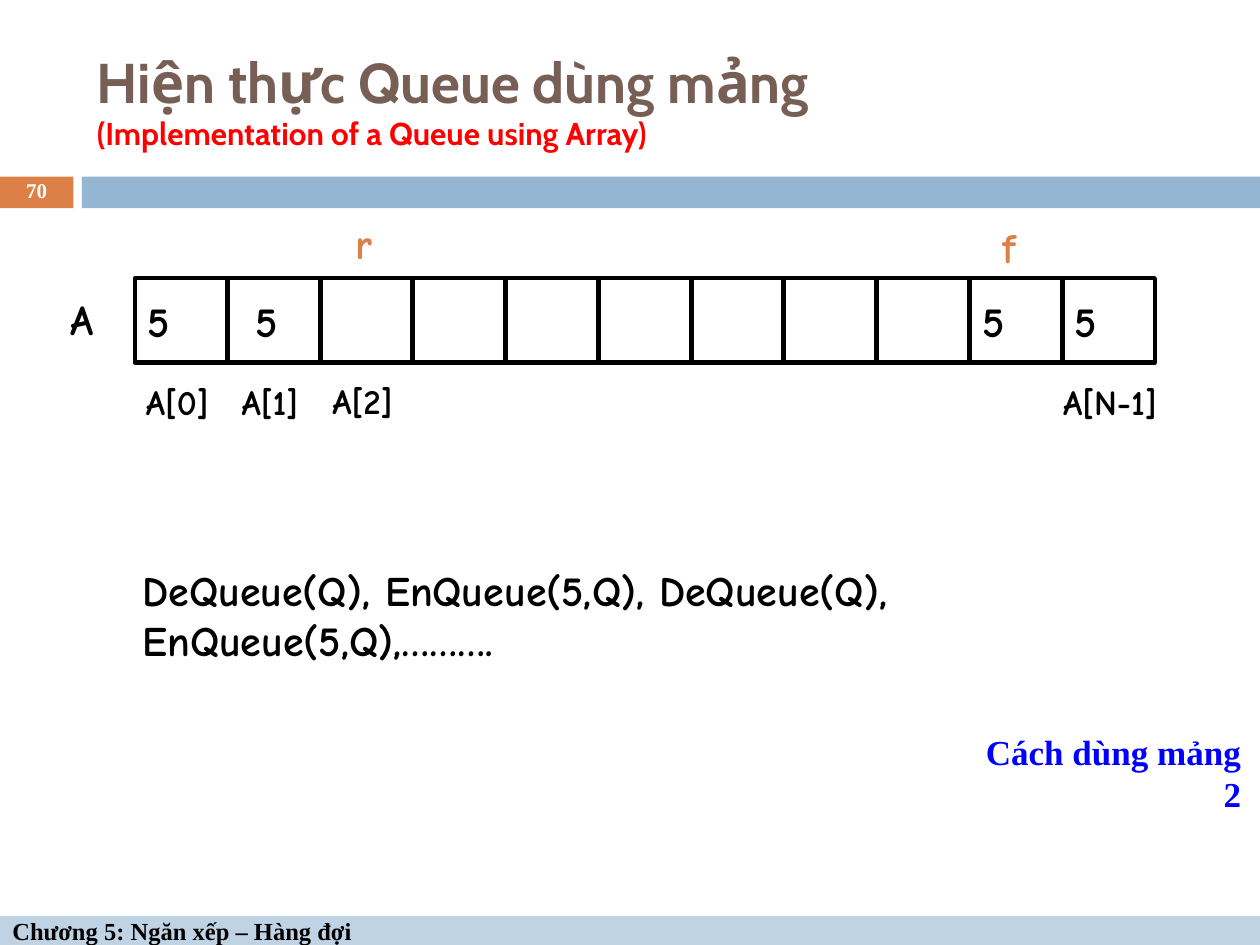
from pptx import Presentation
from pptx.dml.color import RGBColor
from pptx.enum.shapes import MSO_SHAPE
from pptx.enum.text import MSO_ANCHOR, MSO_AUTO_SIZE, PP_ALIGN
from pptx.util import Cm, Pt

BLACK = RGBColor(0x00, 0x00, 0x00)
WHITE = RGBColor(0xFF, 0xFF, 0xFF)
BROWN = RGBColor(0x77, 0x5F, 0x55)
RED = RGBColor(0xFF, 0x00, 0x00)
BLUE = RGBColor(0x00, 0x00, 0xFF)
ORANGE = RGBColor(0xDD, 0x80, 0x47)
BAND_BLUE = RGBColor(0x94, 0xB6, 0xD2)
FOOTER_BLUE = RGBColor(0xBF, 0xD3, 0xE4)

TITLE_FONT = "Cabin"
HAND_FONT = "Comic Neue"
SERIF_FONT = "Times New Roman"

CELL_LEFT, CELL_TOP, CELL_PITCH = 2.72, 5.61, 1.87
CELL_WIDTH, CELL_HEIGHT = 1.86, 1.7
CELL_VALUES = ["5", " 5", "", "", "", "", "", "", "", "5", "5"]
INDEX_LABELS = [
    ("A[0]", 2.69, 7.54, 2.62),
    ("A[1]", 4.62, 7.54, 2.13),
    ("A[2]", 6.45, 7.52, 2.24),
    ("A[N-1]", 21.18, 7.54, 3.91),
]
POINTER_LABELS = [("r", 6.91, 4.27), ("f", 19.96, 4.34)]


def add_run(paragraph, text, size, font_name, color):
    """Append one bold run to a paragraph."""
    run = paragraph.add_run()
    run.text = text
    run.font.size = Pt(size)
    run.font.name = font_name
    run.font.bold = True
    run.font.color.rgb = color


def add_rectangle(slide, left, top, width, height, fill=None, line=None):
    """Add a rectangle with an optional fill and an optional outline."""
    shape = slide.shapes.add_shape(
        MSO_SHAPE.RECTANGLE, Cm(left), Cm(top), Cm(width), Cm(height)
    )
    shape.shadow.inherit = False
    if fill is None:
        shape.fill.background()
    else:
        shape.fill.solid()
        shape.fill.fore_color.rgb = fill
    if line is None:
        shape.line.fill.background()
    else:
        shape.line.color.rgb = line
        shape.line.width = Pt(2.5)
    return shape


def fill_shape_text(shape, text, size, font_name):
    """Write black left-aligned text at mid-height in a shape."""
    shape.text_frame.vertical_anchor = MSO_ANCHOR.MIDDLE
    paragraph = shape.text_frame.paragraphs[0]
    paragraph.alignment = PP_ALIGN.LEFT
    add_run(paragraph, text, size, font_name, BLACK)


def add_label(slide, text, left, top, width, height, size=24,
              font_name=HAND_FONT, color=BLACK):
    """Add a wrapping text box and return it."""
    label = slide.shapes.add_textbox(Cm(left), Cm(top), Cm(width), Cm(height))
    label.text_frame.word_wrap = True
    add_run(label.text_frame.paragraphs[0], text, size, font_name, color)
    return label


def add_title(slide):
    """Format the title placeholder with its heading and subtitle."""
    title = slide.shapes.title
    title.left, title.top = Cm(1.7), Cm(0.64)
    title.width, title.height = Cm(22.66), Cm(2.74)
    frame = title.text_frame
    frame.auto_size = MSO_AUTO_SIZE.NONE
    frame.vertical_anchor = MSO_ANCHOR.MIDDLE
    paragraph = frame.paragraphs[0]
    paragraph.alignment = PP_ALIGN.LEFT
    add_run(paragraph, "Hiện thực Queue dùng mảng", 32, TITLE_FONT, BROWN)
    paragraph.add_line_break()
    add_run(paragraph, "(Implementation of a Queue using Array)", 18,
            TITLE_FONT, RED)


def add_bands(slide):
    """Add the header bands, the slide number and the footer."""
    add_rectangle(slide, 0, 3.56, 1.48, 0.64, ORANGE)
    add_rectangle(slide, 1.65, 3.56, 23.75, 0.64, BAND_BLUE)
    footer = add_rectangle(slide, 0, 18.47, 25.4, 0.58, FOOTER_BLUE)
    fill_shape_text(footer, "Chương 5: Ngăn xếp – Hàng đợi", 14, SERIF_FONT)
    number = add_label(slide, "70", 0, 3.53, 1.48, 0.69, 12, SERIF_FONT, WHITE)
    number.text_frame.vertical_anchor = MSO_ANCHOR.MIDDLE
    paragraph = number.text_frame.paragraphs[0]
    paragraph.alignment = PP_ALIGN.CENTER
    paragraph.line_spacing = 0.8


def add_array(slide):
    """Draw the array cells with their name, indices and pointers."""
    for position, value in enumerate(CELL_VALUES):
        cell = add_rectangle(slide, CELL_LEFT + position * CELL_PITCH, CELL_TOP,
                             CELL_WIDTH, CELL_HEIGHT, line=BLACK)
        if value:
            fill_shape_text(cell, value, 24, HAND_FONT)
    add_label(slide, "A", 1.17, 5.79, 1.93, 1.27)
    for text, left, top, width in INDEX_LABELS:
        add_label(slide, text, left, top, width, 1.12, size=20)
    for text, left, top in POINTER_LABELS:
        add_label(slide, text, left, top, 1.83, 1.27, color=ORANGE)


def add_notes_on_method(slide):
    """Add the list of operations and the name of the method."""
    add_label(slide, "DeQueue(Q), EnQueue(5,Q), DeQueue(Q), EnQueue(5,Q),……….",
              2.62, 11.25, 22.48, 2.29)
    method = add_label(slide, "Cách dùng mảng 2", 19.1, 14.61, 6.17, 1.12,
                       20, SERIF_FONT, BLUE)
    method.text_frame.word_wrap = False
    method.text_frame.paragraphs[0].alignment = PP_ALIGN.RIGHT


def main():
    """Build the slide and save it."""
    presentation = Presentation()
    presentation.slide_width, presentation.slide_height = Cm(25.4), Cm(19.05)
    slide = presentation.slides.add_slide(presentation.slide_layouts[5])
    add_bands(slide)
    add_title(slide)
    add_array(slide)
    add_notes_on_method(slide)
    presentation.save("out.pptx")


if __name__ == "__main__":
    main()
